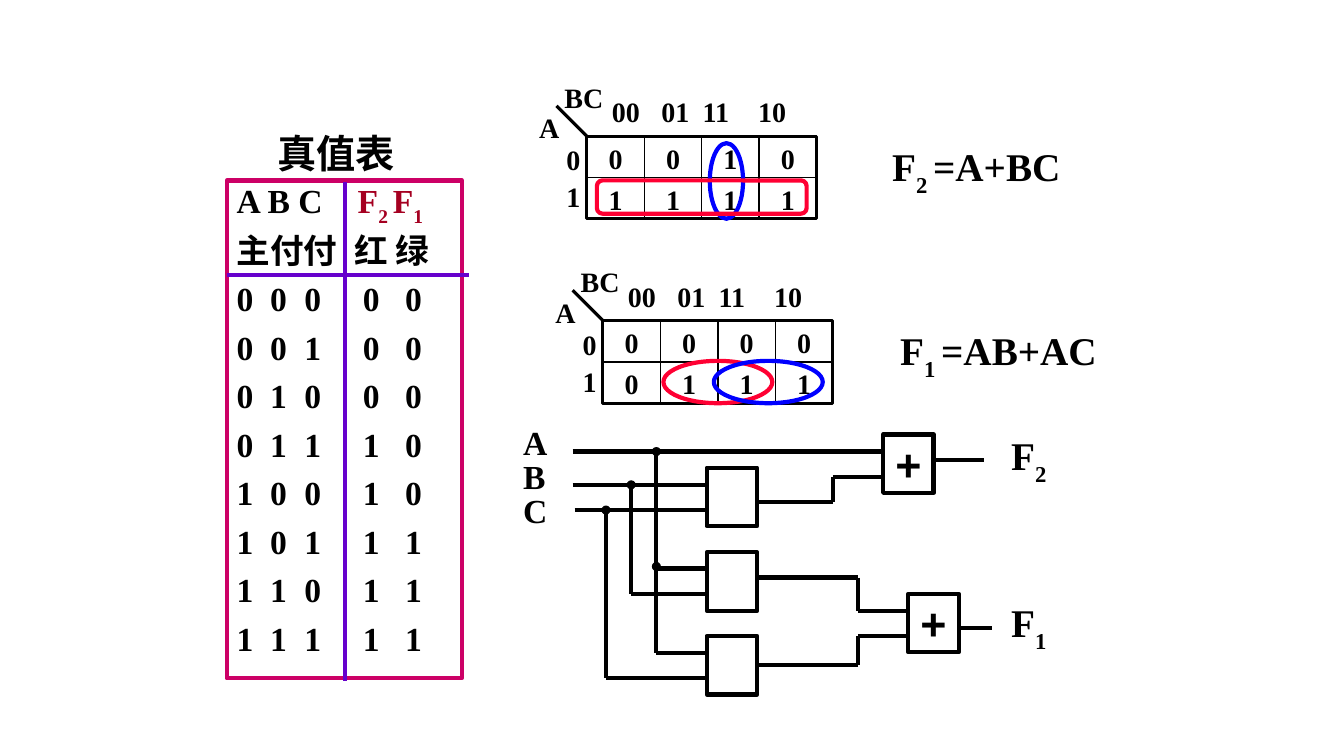
from itertools import pairwise
from lxml.etree import SubElement
from pptx import Presentation
from pptx.dml.color import RGBColor
from pptx.enum.shapes import MSO_CONNECTOR, MSO_SHAPE
from pptx.enum.text import MSO_ANCHOR, PP_ALIGN
from pptx.oxml.ns import qn
from pptx.util import Inches, Pt

BLACK = RGBColor(0x00, 0x00, 0x00)
WHITE = RGBColor(0xFF, 0xFF, 0xFF)
PINK = RGBColor(0xCC, 0x00, 0x66)
PURPLE = RGBColor(0x66, 0x00, 0xCC)
WINE = RGBColor(0xA5, 0x00, 0x21)
RED = RGBColor(0xFF, 0x00, 0x33)
BLUE = RGBColor(0x00, 0x00, 0xFF)

prs = Presentation()
prs.slide_width, prs.slide_height = Inches(13.33), Inches(7.5)
slide = prs.slides.add_slide(prs.slide_layouts[6])
shapes = slide.shapes


def wire(points, color=BLACK, width=3):
    """Join the points with straight connectors."""
    for (x1, y1), (x2, y2) in pairwise(points):
        line = shapes.add_connector(
            MSO_CONNECTOR.STRAIGHT, Inches(x1), Inches(y1), Inches(x2), Inches(y2))
        line.line.color.rgb = color
        line.line.width = Pt(width)
        SubElement(line._element.spPr, qn("a:effectLst"))


def put(kind, x, y, w, h, rows=(), size=20, color=None, width=3, fill=None,
        tabs=(), ratio=None, gap=0, align=PP_ALIGN.LEFT, face="Times New Roman"):
    """Add a shape, or a text box if kind is None; | toggles subscript in a row."""
    box = [Inches(v) for v in (x, y, w, h)]
    if kind is None:
        item = shapes.add_textbox(*box)
    else:
        item = shapes.add_shape(kind, *box)
        item.shadow.inherit = False
        item.line.color.rgb = color or BLACK
        item.line.width = Pt(width)
        if fill is None:
            item.fill.background()
        else:
            item.fill.solid()
            item.fill.fore_color.rgb = fill
    frame = item.text_frame
    frame.word_wrap = True
    frame.vertical_anchor = MSO_ANCHOR.TOP
    for i, row in enumerate(rows):
        para = frame.add_paragraph() if i else frame.paragraphs[0]
        if tabs:
            stops = SubElement(para._p.get_or_add_pPr(), qn("a:tabLst"))
            for pos in tabs:
                SubElement(stops, qn("a:tab"), pos=str(Inches(pos)), algn="l")
        para.alignment = align
        if ratio:
            para.line_spacing = ratio
        if i and gap:
            para.space_before = Pt(gap)
        for j, part in enumerate(row.split("|")):
            if not part:
                continue
            run = para.add_run()
            run.text = part
            run.font.name = face
            run.font.size = Pt(size)
            run.font.bold = True
            run.font.color.rgb = BLACK
            if j % 2:
                run._r.get_or_add_rPr().set("baseline", "-30000")
    return item


# Truth table: red lamp on for F2, green lamp on for F1
facts = ["A B C\t||F|2 |F|1", "主付付\t红 绿"]
for n in range(8):
    a, b, c = n >> 2, n >> 1 & 1, n & 1
    facts.append(f"{a}\t{b}\t{c}\t{a | b & c}\t{a & (b | c)}")
truth = put(MSO_SHAPE.RECTANGLE, 2.25, 1.79, 2.33, 4.94, facts, 24, PINK,
            fill=WHITE, tabs=(0.33, 0.67, 1.25, 1.67), ratio=0.75, gap=13)
heads = truth.text_frame.paragraphs[:2]
for para, stop in zip(heads, (1.2, 1.17)):
    tabs = para._p.pPr.find(qn("a:tabLst"))
    for tab in tabs[1:]:
        tabs.remove(tab)
    tabs[0].set("pos", str(Inches(stop)))
for run in heads[0].runs[1:]:
    run.font.color.rgb = WINE
title = put(None, 2.75, 1.23, 1.5, 0.57, ["真值表"], 28).text_frame
title.margin_left, title.margin_right = Inches(0), Inches(0.02)
wire([(3.42, 1.81), (3.42, 6.76)], PURPLE)
wire([(2.25, 2.73), (4.65, 2.73)], PURPLE)

# Karnaugh maps
CELL_W, CELL_H = 0.57, 0.41
for x, y, grid in ((5.82, 1.35, ("0010", "1111")), (5.98, 3.18, ("0000", "0111"))):
    for i, row in enumerate(grid):
        for j, bit in enumerate(row):
            put(MSO_SHAPE.RECTANGLE, x + j * CELL_W, y + i * CELL_H, CELL_W, CELL_H,
                [bit], width=1, align=PP_ALIGN.CENTER)
    put(MSO_SHAPE.RECTANGLE, x, y, 4 * CELL_W, 2 * CELL_H, width=2.25)
    wire([(x - 0.3, y - 0.3), (x, y)], width=2.25)
    put(None, x + 0.15, y - 0.46, 2.11, 0.43, ["00\t01\t11\t10"], tabs=(0.49, 0.9, 1.45))
    put(None, x - 0.3, y + 0.12, 0.34, 0.72, ["0", "1"], ratio=0.65, gap=11)
    put(None, x - 0.57, y - 0.3, 0.3, 0.43, ["A"])
    put(None, x - 0.32, y - 0.6, 0.69, 0.43, ["BC"])

# Loops around the ones
put(MSO_SHAPE.OVAL, 7.04, 1.42, 0.33, 0.75, color=BLUE)
put(MSO_SHAPE.ROUNDED_RECTANGLE, 5.92, 1.79, 2.08, 0.33, color=RED)
put(MSO_SHAPE.OVAL, 6.58, 3.58, 1.08, 0.42, color=RED)
put(MSO_SHAPE.OVAL, 7.08, 3.58, 1.08, 0.42, color=BLUE)

# Formulas
put(None, 8.75, 1.42, 2.25, 0.46, ["F|2 |=A+BC"], 28, ratio=0.75)
put(None, 8.83, 3.25, 2.25, 0.46, ["F|1 |=AB+AC"], 28, ratio=0.75)

# Gates
for x, y, sign in ((7.01, 4.64, ""), (7.01, 5.48, ""), (7.01, 6.31, ""),
                   (8.76, 4.31, "+"), (9.01, 5.89, "+")):
    gate = put(MSO_SHAPE.RECTANGLE, x, y, 0.5, 0.58, [sign] if sign else (), 32,
               align=PP_ALIGN.CENTER, face="Arial")
    gate.text_frame.word_wrap = False
    gate.text_frame.vertical_anchor = MSO_ANCHOR.MIDDLE

# Wires: inputs, branches, then gate outputs
for points in (
    [(5.68, 4.48), (8.76, 4.48)],
    [(5.68, 4.81), (7.01, 4.81)],
    [(5.7, 5.06), (7.01, 5.06)],
    [(6.51, 4.48), (6.51, 6.48), (7.01, 6.48)],
    [(6.51, 5.64), (7.01, 5.64)],
    [(6.26, 4.81), (6.26, 5.89), (7.01, 5.89)],
    [(6.01, 5.06), (6.01, 6.73), (7.01, 6.73)],
    [(7.51, 4.98), (8.26, 4.98), (8.26, 4.73), (8.76, 4.73)],
    [(7.51, 5.73), (8.51, 5.73), (8.51, 6.06), (9.01, 6.06)],
    [(7.51, 6.6), (8.51, 6.6), (8.51, 6.31), (9.01, 6.31)],
    [(9.26, 4.56), (9.76, 4.56)],
    [(9.51, 6.23), (9.84, 6.23)],
):
    wire(points)

# Junction dots
for x, y in ((6.47, 4.44), (6.22, 4.77), (5.97, 5.02), (6.47, 5.58)):
    put(MSO_SHAPE.OVAL, x, y, 0.08, 0.08, width=0.75, fill=BLACK)

# Input and output names
for i, name in enumerate("ABC"):
    put(None, 5.09, 4.14 + i * 0.335, 0.5, 0.5, [name], 24)
put(None, 9.93, 4.23, 0.75, 0.57, ["F|2"], 28)
put(None, 9.93, 5.89, 0.75, 0.57, ["F|1"], 28)

prs.save("out.pptx")
